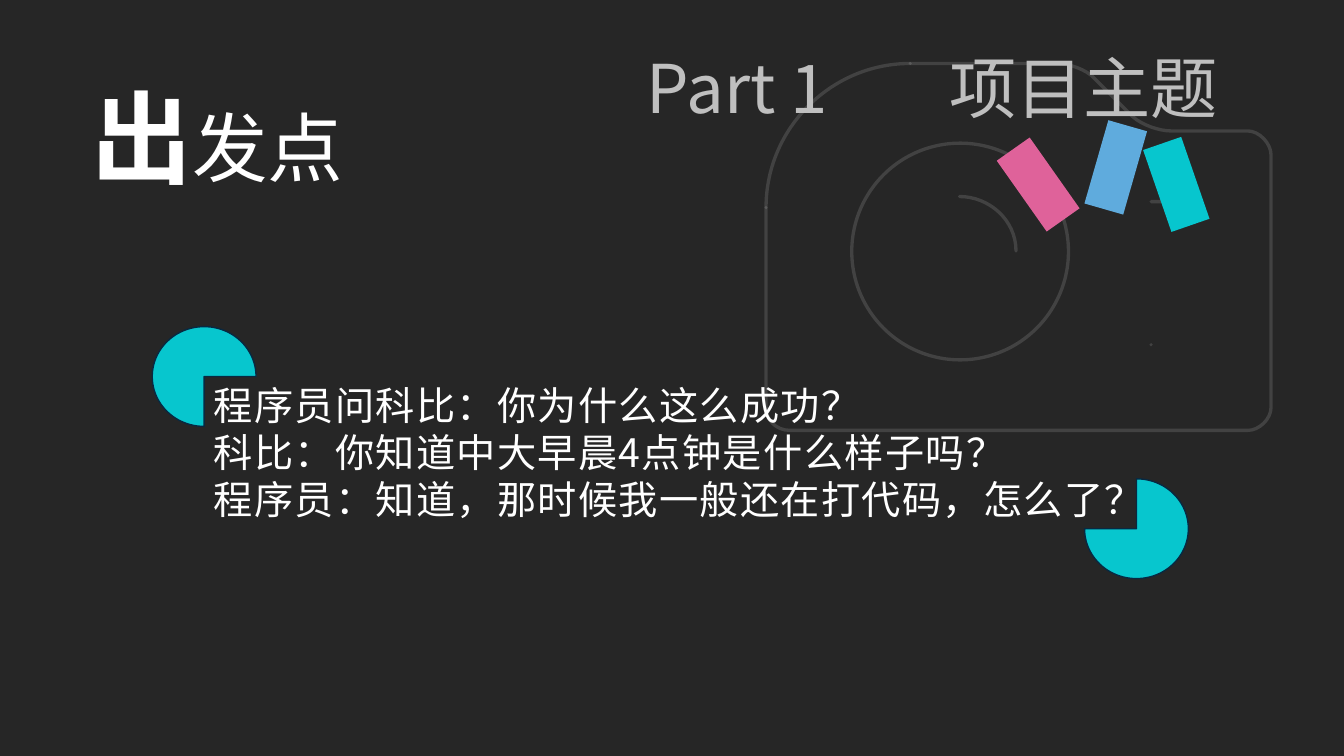
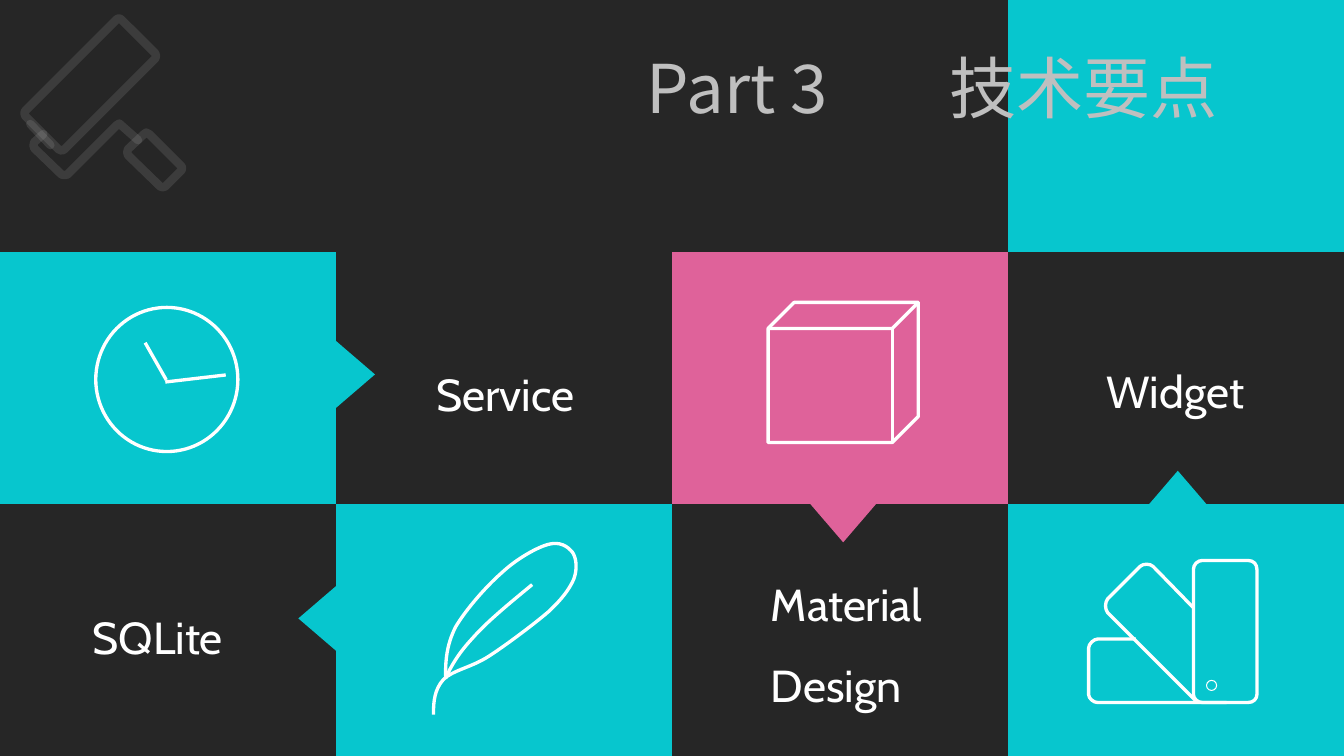
from dataclasses import dataclass
from typing import Optional

from lxml.etree import SubElement
from pptx import Presentation
from pptx.dml.color import RGBColor
from pptx.enum.shapes import MSO_CONNECTOR, MSO_SHAPE
from pptx.oxml.ns import qn
from pptx.util import Pt

EMU_PER_PX = 9144  # 100 px to the inch
SLIDE_H = 750
SLIDE_W = SLIDE_H * 16 / 9

DARK, WHITE, GREY = "262626", "FFFFFF", "BFBFBF"
TEAL, PINK, BLUE, NAVY = "07C6CE", "DF629A", "5FABDD", "072942"
CJK, LATIN = "Noto Sans CJK SC", "Cabin"
NO_TABLE_STYLE = "{2D5ABB26-0587-4C30-8999-92F81FD0307C}"


@dataclass(frozen=True)
class Pen:
    color: str = WHITE
    width: float = 2.38
    opacity: int = 100
    round_cap: bool = False


@dataclass(frozen=True)
class Outline:
    """Start point, then legs: 2 numbers for a line, 6 for a cubic curve."""
    start: tuple[int, int]
    legs: tuple[tuple[int, ...], ...]
    closed: bool = False


@dataclass(frozen=True)
class Segment:
    x1: int
    y1: int
    x2: int
    y2: int


@dataclass(frozen=True)
class Preset:
    kind: MSO_SHAPE
    box: tuple[int, int, int, int]
    rotation: float = 0
    fill: Optional[str] = None
    pen: Optional[Pen] = None
    adjustment: Optional[float] = None


@dataclass(frozen=True)
class Words:
    text: str
    size: int
    font: str = CJK
    color: str = WHITE
    bold: bool = False
    tracking: int = 0


def px(length: float) -> int:
    return round(length * EMU_PER_PX)


def rgb(color: str) -> RGBColor:
    return RGBColor.from_string(color)


# Drawing functions
def apply_pen(shape, pen: Optional[Pen]) -> None:
    if pen is None:
        shape.line.fill.background()
        return
    shape.line.color.rgb = rgb(pen.color)
    shape.line.width = Pt(pen.width)
    line_xml = shape.line._get_or_add_ln()
    if pen.round_cap:
        line_xml.set("cap", "rnd")
    if pen.opacity < 100:
        color_xml = line_xml.find(".//" + qn("a:srgbClr"))
        SubElement(color_xml, qn("a:alpha"), val=str(pen.opacity * 1000))


def draw_preset(shapes, part: Preset, pen: Optional[Pen] = None) -> None:
    shape = shapes.add_shape(part.kind, *map(px, part.box))
    shape.shadow.inherit = False
    shape.rotation = part.rotation
    if part.adjustment is not None:
        shape.adjustments[0] = part.adjustment
    if part.fill:
        shape.fill.solid()
        shape.fill.fore_color.rgb = rgb(part.fill)
    else:
        shape.fill.background()
    apply_pen(shape, part.pen or pen)


def draw_segment(shapes, part: Segment, pen: Pen) -> None:
    line = shapes.add_connector(
        MSO_CONNECTOR.STRAIGHT, *map(px, (part.x1, part.y1, part.x2, part.y2)))
    apply_pen(line, pen)
    SubElement(line._element.spPr, qn("a:effectLst"))


def draw_outline(shapes, part: Outline, pen: Pen) -> None:
    builder = shapes.build_freeform(*map(px, part.start), scale=1.0)
    builder.add_line_segments([tuple(map(px, leg[-2:])) for leg in part.legs],
                              close=part.closed)
    shape = builder.convert_to_shape()
    shape.shadow.inherit = False
    shape.fill.background()
    apply_pen(shape, pen)

    # Bend the six-number legs into cubic curves
    steps = shape._element.findall(".//" + qn("a:lnTo"))
    for step, leg in zip(steps, part.legs):
        if len(leg) == 6:
            step.tag = qn("a:cubicBezTo")
            for index, (x, y) in enumerate((leg[:2], leg[2:4])):
                control = step.makeelement(qn("a:pt"), {
                    "x": str(px(x) - shape.left), "y": str(px(y) - shape.top)})
                step.insert(index, control)


def draw_icon(slide, parts: tuple, pen: Pen) -> None:
    group = slide.shapes.add_group_shape()
    painters = {Preset: draw_preset, Segment: draw_segment, Outline: draw_outline}
    for part in parts:
        painters[type(part)](group.shapes, part, pen)


def draw_text(slide, box: tuple[int, int, int, int], paragraphs: list[list[Words]],
              wrap: bool = True, spacing: Optional[float] = None) -> None:
    frame = slide.shapes.add_textbox(*map(px, box)).text_frame
    frame.word_wrap = wrap
    for index, words_list in enumerate(paragraphs):
        paragraph = frame.add_paragraph() if index else frame.paragraphs[0]
        paragraph._p.get_or_add_pPr().set("defTabSz", str(px(100)))
        if spacing:
            paragraph.line_spacing = spacing
        for words in words_list:
            run = paragraph.add_run()
            run.text = words.text
            run.font.size = Pt(words.size)
            run.font.bold = words.bold
            run.font.color.rgb = rgb(words.color)
            run.font.name = words.font
            props = run._r.get_or_add_rPr()
            SubElement(props, qn("a:ea"), typeface=words.font)
            if words.tracking:
                props.set("spc", str(words.tracking * 100))


# Shared by both slides
def new_slide(deck):
    slide = deck.slides.add_slide(deck.slide_layouts[6])
    slide.background.fill.solid()
    slide.background.fill.fore_color.rgb = rgb(DARK)
    return slide


def draw_part_title(slide, number: int, topic: str) -> None:
    title = Words(f"Part {number}\t\t{topic}", 48, color=GREY)
    draw_text(slide, (632, 41, 592, 91), [[title]], wrap=False)


# Icons
CAMERA = (
    Outline((903, 63), (
        (1049, 63), (1060, 63, 1078, 69, 1086, 78), (1124, 116),
        (1133, 124, 1150, 130, 1162, 130), (1238, 130),
        (1249, 130, 1261, 142, 1261, 154), (1261, 404),
        (1261, 416, 1249, 427, 1238, 427), (784, 427),
        (769, 427, 760, 416, 760, 404), (760, 206))),
    Preset(MSO_SHAPE.OVAL, (845, 142, 215, 215)),
    Outline((952, 195), ((981, 195, 1008, 218, 1008, 249),)),
    Outline((760, 206), ((760, 127, 825, 63, 903, 63),)),
    Segment(1142, 200, 1168, 200),
    Segment(1142, 342, 1142, 342),
)
PAINT_ROLLER = (
    Outline((58, 148), (
        (60, 150, 63, 150, 64, 148), (154, 58), (155, 57, 155, 54, 154, 53),
        (120, 19), (119, 18, 117, 18, 116, 19), (25, 110),
        (24, 111, 24, 113, 25, 115), (58, 148)), closed=True),
    Outline((43, 133), (
        (34, 141), (33, 143, 33, 146, 34, 147), (61, 173),
        (63, 174, 65, 174, 67, 173), (116, 124),
        (117, 122, 120, 122, 120, 124), (137, 139))),
    Outline((159, 185), (
        (160, 186, 163, 186, 164, 185), (180, 169),
        (181, 168, 181, 165, 180, 165), (148, 133),
        (146, 131, 144, 131, 143, 133), (127, 148),
        (126, 150, 126, 152, 127, 154), (159, 185)), closed=True),
    Segment(30, 123, 50, 144),
)
SWATCHES = (
    Outline((1127, 634), (
        (1089, 634), (1085, 634, 1080, 639, 1080, 643), (1080, 689),
        (1080, 693, 1085, 697, 1089, 697), (1217, 697))),
    Outline((1184, 603), (
        (1144, 562), (1141, 559, 1134, 559, 1131, 562), (1099, 594),
        (1096, 598, 1096, 604, 1099, 608), (1186, 695))),
    Outline((1238, 697), (
        (1244, 697, 1247, 693, 1247, 689), (1247, 565),
        (1247, 560, 1244, 556, 1238, 556), (1193, 556),
        (1188, 556, 1184, 560, 1184, 565), (1184, 689),
        (1184, 693, 1188, 697, 1193, 697), (1238, 697)), closed=True),
    Preset(MSO_SHAPE.OVAL, (1197, 675, 10, 10), pen=Pen(width=0.75)),
)
FEATHER = (
    Outline((442, 671), (
        (442, 655, 443, 640, 452, 622), (462, 605, 482, 582, 498, 568),
        (513, 554, 533, 543, 544, 540), (556, 537, 563, 542, 568, 548),
        (572, 554, 573, 565, 569, 575), (565, 584, 558, 594, 544, 607),
        (530, 619, 502, 640, 485, 651), (468, 662, 449, 665, 440, 674),
        (431, 684, 430, 696, 430, 709))),
    Outline((442, 673), (
        (448, 660, 455, 648, 469, 633), (483, 617, 505, 599, 528, 580))),
)
CLOCK = (
    Preset(MSO_SHAPE.OVAL, (95, 305, 141, 143)),
    Segment(144, 340, 165, 377),
    Segment(164, 379, 224, 372),
)


def build_topic_slide(deck) -> None:
    slide = new_slide(deck)
    draw_icon(slide, CAMERA, Pen(opacity=13, round_cap=True))
    draw_text(slide, (81, 70, 273, 131),
              [[Words("出", 72, bold=True), Words("发点", 54)]], wrap=False)

    dialogue = ("程序员问科比：你为什么这么成功？",
                "科比：你知道中大早晨4点钟是什么样子吗？",
                "程序员：知道，那时候我一般还在打代码，怎么了？")
    draw_text(slide, (202, 373, 982, 151),
              [[Words(line, 28, tracking=1)] for line in dialogue])

    # Corner marks around the dialogue
    for x, y, rotation in ((153, 322, 90), (1078, 473, 270)):
        draw_preset(slide.shapes, Preset(MSO_SHAPE.PIE, (x, y, 99, 103), rotation,
                                         TEAL, Pen(NAVY, 1)))

    # Confetti bars
    for x, y, rotation, color in ((1064, 146, 286, BLUE), (1124, 163, 70.9, TEAL),
                                  (987, 163, 234.8, PINK)):
        draw_preset(slide.shapes,
                    Preset(MSO_SHAPE.RECTANGLE, (x, y, 86, 40), rotation, color))
    draw_part_title(slide, 1, "项目主题")


def draw_checkerboard(slide) -> None:
    colors = ((None, None, None, TEAL),
              (TEAL, None, PINK, None),
              (None, TEAL, None, TEAL))
    board = slide.shapes.add_table(3, 4, 0, 0, px(SLIDE_W), px(SLIDE_H)).table
    board._tbl.tblPr.find(qn("a:tableStyleId")).text = NO_TABLE_STYLE
    for r, row in enumerate(colors):
        for c, color in enumerate(row):
            fill = board.cell(r, c).fill
            if color:
                fill.solid()
                fill.fore_color.rgb = rgb(color)
            else:
                fill.background()
    board.cell(0, 0).merge(board.cell(0, 2))


def build_technology_slide(deck) -> None:
    slide = new_slide(deck)
    draw_checkerboard(slide)
    draw_icon(slide, PAINT_ROLLER, Pen(GREY, 6, 15, round_cap=True))
    for icon in (SWATCHES, FEATHER, CLOCK):
        draw_icon(slide, icon, Pen())
    draw_preset(slide.shapes, Preset(MSO_SHAPE.CUBE, (762, 300, 149, 139),
                                     pen=Pen(), adjustment=0.186))

    # Pointers between each icon and its label
    for x, y, rotation, color in ((319, 352, 90, TEAL), (803, 499, 180, PINK),
                                  (282, 594, 270, TEAL), (1135, 467, 0, TEAL)):
        draw_preset(slide.shapes, Preset(MSO_SHAPE.ISOSCELES_TRIANGLE,
                                         (x, y, 67, 39), rotation, color))
    for x, y, height, lines in ((423, 332, 81, ("Service",)),
                                (755, 541, 172, ("Material", "Design")),
                                (82, 573, 81, ("SQLite",)),
                                (1088, 329, 81, ("Widget",))):
        draw_text(slide, (x, y, 197, height),
                  [[Words(line, 32, LATIN)] for line in lines], spacing=1.5)
    draw_part_title(slide, 3, "技术要点")


def main() -> None:
    deck = Presentation()
    deck.slide_width, deck.slide_height = px(SLIDE_W), px(SLIDE_H)
    build_topic_slide(deck)
    build_technology_slide(deck)
    deck.save("out.pptx")


if __name__ == "__main__":
    main()
